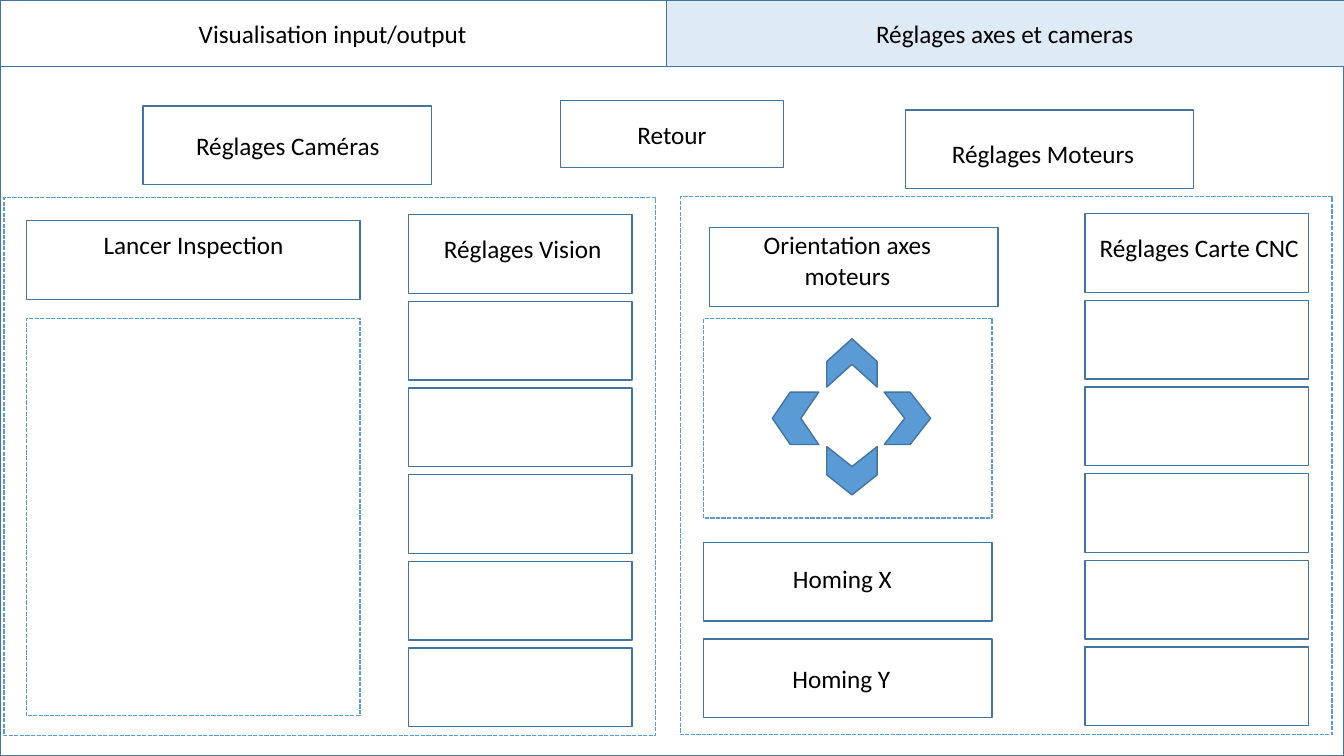
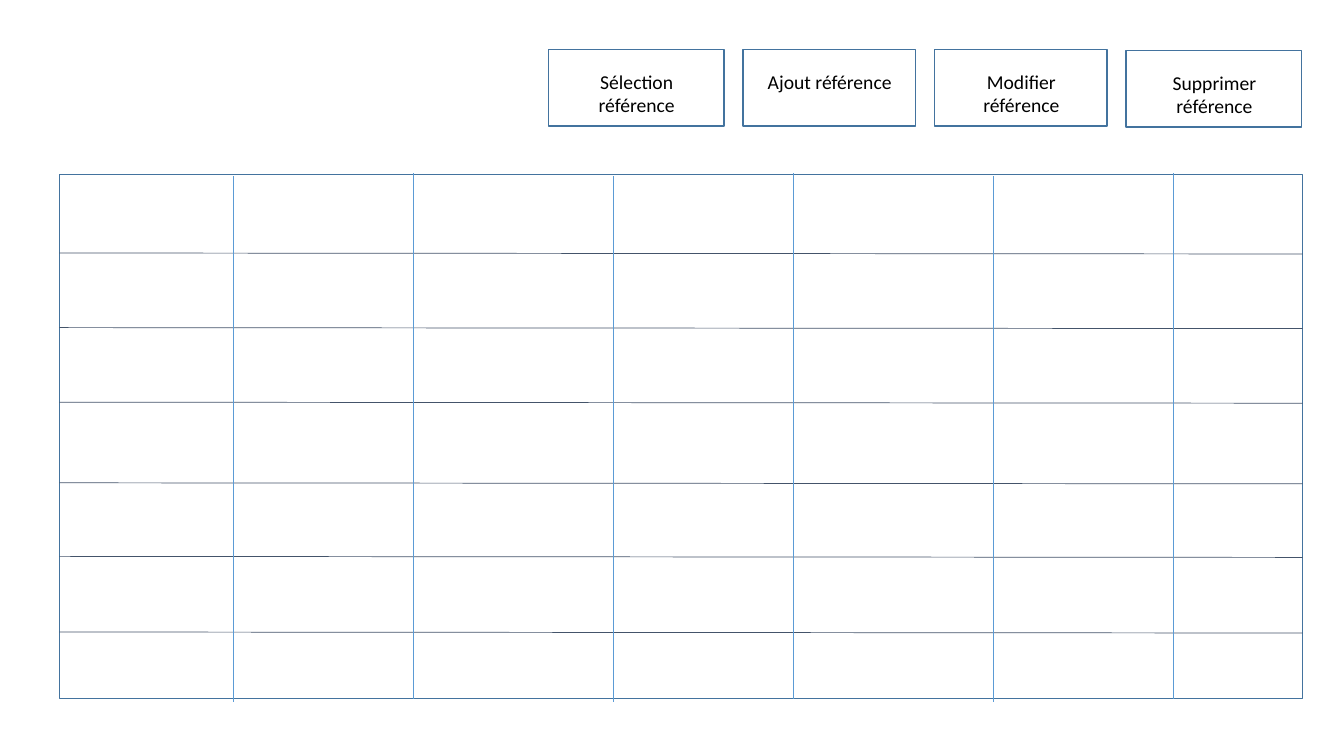
"""Build two screen mock-ups: the axis and camera settings, and the reference grid."""
from lxml.etree import SubElement
from pptx import Presentation
from pptx.dml.color import RGBColor
from pptx.enum.dml import MSO_LINE
from pptx.enum.shapes import MSO_CONNECTOR, MSO_SHAPE
from pptx.enum.text import MSO_AUTO_SIZE, PP_ALIGN
from pptx.oxml.ns import qn
from pptx.util import Inches, Pt

FONT = "Calibri"
INK, BORDER, ACCENT, SLATE, ACTIVE_TAB = "000000", "43739E", "5B9BD5", "44546A", "DEEBF7"

# Box (left, top, width, height), fill, label, label place (left, top, width)
TABS = [
    ((0, 0, 6.61, 0.66), None, "Visualisation input/output", (0.26, 0.13, 6.08)),
    ((6.61, 0, 6.73, 0.66), ACTIVE_TAB, "Réglages axes et cameras", (6.87, 0.13, 6.19)),
]
BUTTONS = [
    ((8.98, 1.09, 2.86, 0.78), None, "Réglages Moteurs", (9.03, 1.32, 2.63)),
    ((7.04, 2.26, 2.86, 0.78), None, "Orientation axes moteurs", (7.09, 2.23, 2.63)),
    ((6.98, 5.38, 2.86, 0.78), None, "Homing X", (7.04, 5.54, 2.63)),
    ((6.98, 6.34, 2.86, 0.78), None, "Homing Y", (7.03, 6.53, 2.63)),
    ((1.42, 1.05, 2.86, 0.78), None, "Réglages Caméras", (1.54, 1.24, 2.63)),
    ((0.26, 2.19, 3.31, 0.78), None, "Lancer Inspection", (0.4, 2.23, 3.04)),
    ((5.56, 1, 2.21, 0.66), None, "Retour", (5.65, 1.13, 2.03)),
]
SCREEN = (0, 0.66, 13.33, 6.84)
DASHED_ZONES = [
    (6.75, 1.95, 6.46, 5.34),
    (6.98, 3.16, 2.86, 1.98),
    (0.04, 1.96, 6.46, 5.34),
    (0.26, 3.16, 3.31, 3.94),
]
SETTING_COLUMNS = [
    (10.76, 2.12, "Réglages Carte CNC", (10.58, 2.26, 2.63)),
    (4.05, 2.13, "Réglages Vision", (3.87, 2.27, 2.63)),
]
SETTING_COUNT, SETTING_PITCH, SETTING_SIZE = 6, 0.86, (2.22, 0.78)
# Place, rotation, chevron depth
JOG_ARROWS = [
    ((8.77, 3.89, 0.46, 0.52), 0, 0.443),
    ((7.66, 3.89, 0.46, 0.52), 180, 0.386),
    ((8.21, 4.42, 0.48, 0.5), 90, 0.414),
    ((8.21, 3.35, 0.48, 0.5), 270, 0.471),
]

# Left, top, width, label
REFERENCE_ACTIONS = [
    (9.27, 0.49, 1.71, "Modifier référence"),
    (7.37, 0.49, 1.71, "Ajout référence"),
    (11.17, 0.5, 1.74, "Supprimer référence"),
    (5.44, 0.49, 1.74, "Sélection référence"),
]
ACTION_HEIGHT, LABEL_INSET, LABEL_DROP = 0.76, 0.07, 0.15
GRID = (0.59, 1.73, 12.33, 5.2)
ROW_LINES = [2.51, 3.25, 3.99, 4.79, 5.52, 6.27]
ROW_SLOPE = 0.01
COLUMN_LINES = [2.31, 4.1, 6.08, 7.87, 9.85, 11.64]
COLUMN_TOPS, COLUMN_LENGTH = (1.75, 1.72), 5.21


def color(value):
    return RGBColor.from_string(value)


def add_box(slide, place, fill=None, line=BORDER, preset=MSO_SHAPE.RECTANGLE):
    box = slide.shapes.add_shape(preset, *map(Inches, place))
    box.shadow.inherit = False
    if fill:
        box.fill.solid()
        box.fill.fore_color.rgb = color(fill)
    else:
        box.fill.background()
    box.line.color.rgb = color(line)
    box.line.width = Pt(1)
    return box


def add_label(slide, text, place, size=18):
    label = slide.shapes.add_textbox(*map(Inches, (*place, 0.4 if size == 18 else 0.34)))
    frame = label.text_frame
    frame.word_wrap = True
    frame.auto_size = MSO_AUTO_SIZE.SHAPE_TO_FIT_TEXT
    paragraph = frame.paragraphs[0]
    paragraph.text = text
    paragraph.alignment = PP_ALIGN.CENTER
    paragraph.font.name = FONT
    paragraph.font.size = Pt(size)
    paragraph.font.color.rgb = color(INK)


def add_rule(slide, start, end, line):
    rule = slide.shapes.add_connector(MSO_CONNECTOR.STRAIGHT, *map(Inches, (*start, *end)))
    rule.line.color.rgb = color(line)
    rule.line.width = Pt(0.5)
    SubElement(rule._element.spPr, qn("a:effectLst"))


def build_settings(slide):
    add_box(slide, SCREEN)
    for zone in DASHED_ZONES:
        add_box(slide, zone, line=ACCENT).line.dash_style = MSO_LINE.SQUARE_DOT
    for place, fill, text, label_place in TABS + BUTTONS:
        add_box(slide, place, fill)
        add_label(slide, text, label_place)
    for left, top, heading, label_place in SETTING_COLUMNS:
        for index in range(SETTING_COUNT):
            add_box(slide, (left, top + index * SETTING_PITCH, *SETTING_SIZE))
        add_label(slide, heading, label_place)
    for place, rotation, depth in JOG_ARROWS:
        arrow = add_box(slide, place, ACCENT, preset=MSO_SHAPE.CHEVRON)
        arrow.rotation = rotation
        arrow.adjustments[0] = depth


def build_references(slide):
    add_box(slide, GRID)
    left, right = GRID[0], GRID[0] + GRID[2]
    for y in ROW_LINES:
        add_rule(slide, (left, y), (right, y + ROW_SLOPE), SLATE)
    for left, top, width, text in REFERENCE_ACTIONS:
        add_box(slide, (left, top, width, ACTION_HEIGHT))
        label_place = (left + LABEL_INSET, top + LABEL_DROP, width - 2 * LABEL_INSET + 0.01)
        add_label(slide, text, label_place, 14)
    for index, x in enumerate(COLUMN_LINES):
        top = COLUMN_TOPS[index % 2]
        add_rule(slide, (x, top), (x, top + COLUMN_LENGTH), ACCENT)


def main():
    deck = Presentation()
    deck.slide_width, deck.slide_height = Inches(13.33), Inches(7.5)
    for build in (build_settings, build_references):
        build(deck.slides.add_slide(deck.slide_layouts[6]))
    deck.save("out.pptx")


if __name__ == "__main__":
    main()
